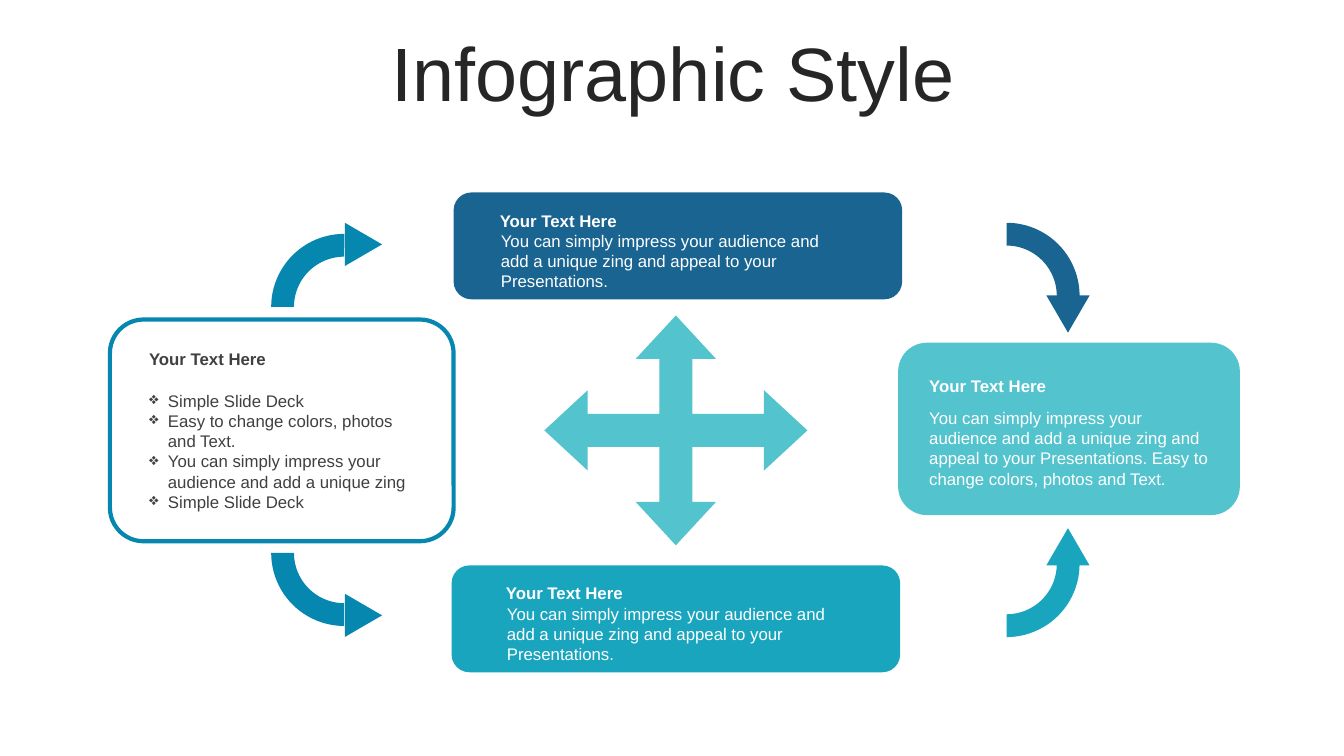
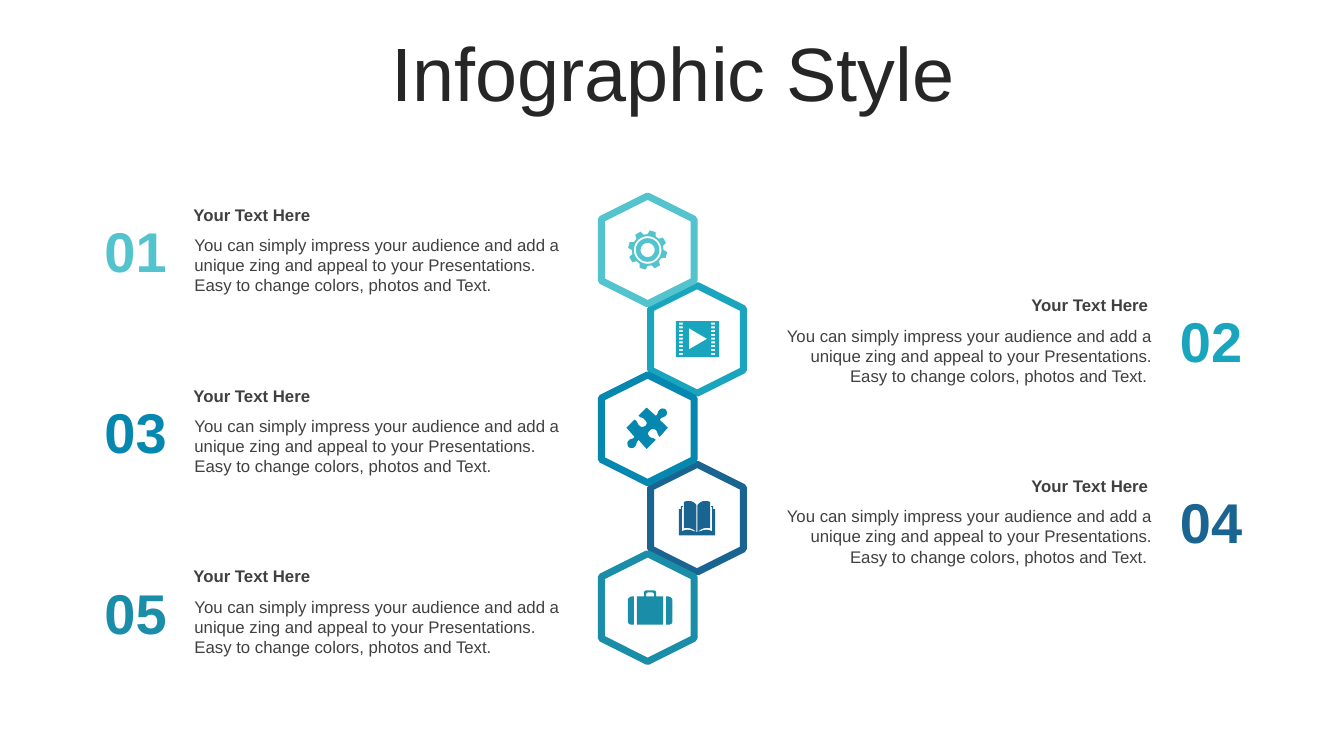
"""Build two infographic slides: a four-card cycle and a five-step hexagon chain."""
import math

import pptx
import pptx.dml.color
import pptx.enum.shapes
import pptx.enum.text
import pptx.oxml.ns
import pptx.util
from lxml import etree

CELL = pptx.util.Inches(0.1)
COLUMNS, ROWS = 133.33, 75
COLORS = {
    "title": "262626", "text": "404040", "white": "FFFFFF", "aqua": "53C3CD",
    "teal": "19A5BE", "blue": "0587AF", "navy": "196491", "sea": "1A8EA9",
}
TITLE = {"size": pptx.util.Pt(54), "name": "Arial", "bold": False}
NUMBER = {"size": pptx.util.Pt(40), "name": "Arial", "bold": True}
HEADING = {"size": pptx.util.Pt(12), "name": "Arial", "bold": True}
BODY = {"size": pptx.util.Pt(12), "name": "Arial", "bold": False}
TITLE_SPACING = {"line_spacing": 0.9, "space_before": pptx.util.Pt(10)}

ALIGN = pptx.enum.text.PP_ALIGN
ANCHOR = pptx.enum.text.MSO_ANCHOR
SHAPE = pptx.enum.shapes.MSO_SHAPE

HEADING_TEXT = "Your Text Here"
IMPRESS = "You can simply impress your audience and add a unique zing"
APPEAL = IMPRESS + " and appeal to your Presentations."
EASY = "Easy to change colors, photos and Text."
FULL = APPEAL + " " + EASY
FEATURES = ["Simple Slide Deck", EASY, IMPRESS, "Simple Slide Deck"]


def rgb(color):
    """Return the palette colour of that name."""
    return pptx.dml.color.RGBColor.from_string(COLORS[color])


def grid(*cells):
    """Turn grid cells into lengths."""
    return [round(cell * CELL) for cell in cells]


def apply(target, values):
    """Set every attribute in a dict of format values."""
    for attribute, value in values.items():
        setattr(target, attribute, value)


def paint(shape, fill=None, line=None, width=0):
    """Give a shape its fill and line and take away its shadow."""
    shape.shadow.inherit = False
    if fill:
        shape.fill.solid()
        shape.fill.fore_color.rgb = rgb(fill)
    else:
        shape.fill.background()
    if line:
        shape.line.color.rgb = rgb(line)
        shape.line.width = pptx.util.Pt(width)
    else:
        shape.line.fill.background()


def add_preset(slide, kind, cells, rotation=0, adjust=(), **colors):
    """Add a preset shape on the grid."""
    shape = slide.shapes.add_shape(kind, *grid(*cells))
    shape.rotation = rotation
    for index, value in enumerate(adjust):
        shape.adjustments[index] = value
    paint(shape, **colors)


def add_bullet(paragraph):
    """Give a paragraph a hanging diamond bullet."""
    properties = paragraph._p.get_or_add_pPr()
    properties.set("marL", "171450")
    properties.set("indent", "-171450")
    bullet = etree.SubElement(properties, pptx.oxml.ns.qn("a:buChar"))
    bullet.set("char", "❖")


def add_text(slide, cells, lines, font, color, align=ALIGN.LEFT,
             anchor=ANCHOR.TOP, spacing=None, bulleted=False, grow=True):
    """Add a text box with one paragraph for each line."""
    frame = slide.shapes.add_textbox(*grid(*cells)).text_frame
    sizing = pptx.enum.text.MSO_AUTO_SIZE
    apply(frame, {
        "word_wrap": True, "vertical_anchor": anchor,
        "auto_size": sizing.SHAPE_TO_FIT_TEXT if grow else sizing.NONE,
    })
    for index, line in enumerate(lines):
        paragraph = frame.add_paragraph() if index else frame.paragraphs[0]
        apply(paragraph, {"alignment": align, **(spacing or {})})
        if bulleted:
            add_bullet(paragraph)
        run = paragraph.add_run()
        run.text = line
        apply(run.font, font)
        run.font.color.rgb = rgb(color)


def add_titled_slide(deck):
    """Add a blank slide with the shared title."""
    slide = deck.slides.add_slide(deck.slide_layouts[6])
    add_text(slide, (3.5, 3.7, 126.6, 7.9), ["Infographic Style"], TITLE, "title",
             ALIGN.CENTER, ANCHOR.MIDDLE, TITLE_SPACING, grow=False)
    return slide


def add_turn(slide, arc, head, quarter, head_rotation, color):
    """Add a quarter-circle arrow made of an arc and its head."""
    add_preset(slide, SHAPE.BLOCK_ARC, (*arc, 14.5, 14.5), 90 * quarter,
               (108, 162, 0.156), fill=color)
    add_preset(slide, SHAPE.ISOSCELES_TRIANGLE, (*head, 4.3, 3.7), head_rotation,
               fill=color)


def flatten(contour):
    """Replace each six-number curve of a contour by short straight steps."""
    points = []
    for segment in contour:
        if len(segment) == 2:
            points.append(segment)
            continue
        knots = [points[-1], segment[:2], segment[2:4], segment[4:]]
        for step in range(1, 9):
            t = step / 8
            weights = ((1 - t) ** 3, 3 * t * (1 - t) ** 2, 3 * t * t * (1 - t), t ** 3)
            points.append(tuple(sum(weight * knot[axis] for weight, knot in zip(weights, knots))
                                for axis in (0, 1)))
    return points


def add_icon(slide, contours, middle, center, color):
    """Draw contours, in tenths of a cell, with their middle at a grid point."""
    builder = None
    for contour in contours:
        points = [grid(center[0] + (x - middle[0]) / 10, center[1] + (y - middle[1]) / 10)
                  for x, y in flatten(contour)]
        if builder is None:
            builder = slide.shapes.build_freeform(*points[0], scale=1.0)
        else:
            builder.move_to(*points[0])
        builder.add_line_segments(points[1:], close=True)
    paint(builder.convert_to_shape(), fill=color)


def mirror(contour, width):
    """Flip a contour from left to right inside a width."""
    return [tuple(width - value if index % 2 == 0 else value
                  for index, value in enumerate(segment)) for segment in contour]


def box(left, top, width, height):
    """Return the corners of a rectangle."""
    right, bottom = left + width, top + height
    return [(left, top), (right, top), (right, bottom), (left, bottom)]


def polar(radius, degrees):
    """Return the point at a clockwise angle from the top."""
    angle = math.radians(degrees)
    return radius * math.sin(angle), -radius * math.cos(angle)


def gear():
    """Return a gear with eight teeth and a ring."""
    tooth = ((15.7, -15), (19.5, -9), (19.5, 9), (15.7, 15))
    rim = [polar(radius, 15 + 45 * index + turn)
           for index in range(8) for radius, turn in tooth]
    rings = [[polar(radius, 10 * step) for step in range(36)] for radius in (13.7, 11.7, 7)]
    return [rim, *rings]


def film():
    """Return a film frame with perforations and a play sign."""
    holes = [box(left, 1.3 + 3.75 * row, 4, 2) for left in (3, 35) for row in range(9)]
    return [box(0, 0, 43, 35.5), [(13, 7), (13, 28), (31, 17.5)], *holes]


def puzzle():
    """Return a jigsaw piece standing on its corner."""
    return [[
        (39, 2), (40, 3, 41, 6, 39, 8), (37, 10, 35, 9, 33, 12), (41, 20), (33, 29),
        (30, 26, 31, 24, 29, 22), (27, 21, 24, 21, 23, 23), (21, 24, 21, 27, 23, 29),
        (26, 31, 26, 29, 29, 32), (20, 41), (12, 32), (9, 35, 11, 36, 8, 39),
        (6, 41, 3, 40, 2, 39), (1, 37, 0, 35, 2, 33), (4, 30, 6, 32, 8, 29), (0, 20),
        (8, 12), (12, 14, 10, 16, 13, 18), (15, 20, 17, 19, 19, 18),
        (20, 17, 21, 14, 18, 12), (16, 9, 15, 11, 12, 8), (20, 0), (29, 8),
        (32, 6, 30, 5, 33, 2), (35, 0, 38, 1, 39, 2),
    ]]


def book():
    """Return an open book with two mirrored halves."""
    page = [(17.5, 31), (14, 27, 9, 26, 5, 27), (5, 1), (7, 0, 8, 0, 10, 0),
            (13, 0, 15, 1, 17.5, 4)]
    cover = [(18, 34), (0, 34), (0, 8), (2, 8), (2, 5), (4, 5), (4, 6), (3, 6), (3, 30),
             (9, 27, 12, 29, 18, 31)]
    return [page, cover, mirror(page, 36), mirror(cover, 36)]


def suitcase():
    """Return a suitcase with a handle and two end pieces."""
    end = [(6, 6), (4, 6), (2, 6, 0, 8, 0, 9), (0, 31), (0, 33, 2, 34, 4, 34), (6, 34)]
    case = [(18, 0), (26, 0), (27, 0, 28, 1, 28, 2), (28, 6), (35, 6), (35, 34), (9, 34),
            (9, 6), (16, 6), (16, 2), (16, 1, 17, 0, 18, 0)]
    grip = [(18, 4), (18, 6), (26, 6), (26, 4), (26, 3, 25, 2, 24, 2), (20, 2),
            (19, 2, 18, 3, 18, 4)]
    return [end, case, grip, mirror(end, 44)]


def build_cycle(deck):
    """Build the slide with four cards around a crossed arrow."""
    slide = add_titled_slide(deck)
    middle = {"anchor": ANCHOR.MIDDLE}
    add_preset(slide, SHAPE.ROUNDED_RECTANGLE, (10.9, 31.7, 34.1, 22), adjust=(0.152,),
               line="blue", width=3)
    add_text(slide, (13.8, 38.2, 28.5, 13.1), FEATURES, BODY, "text", bulleted=True, **middle)
    add_text(slide, (13.8, 34.1, 28.5, 3), [HEADING_TEXT], HEADING, "text", **middle)
    add_preset(slide, SHAPE.QUAD_ARROW, (54, 31.3, 26.1, 22.8),
               adjust=(0.143, 0.175, 0.189), fill="aqua")
    cards = [
        ("aqua", (89.1, 34, 33.9, 17.1), (91.2, 36.8, 30.1, 3), (91.2, 39.9, 30.3, 9.1), FULL),
        ("navy", (45, 19.1, 44.5, 10.6), (48.6, 20.4, 36.9, 3), (48.7, 23.4, 36.8, 5), APPEAL),
        ("teal", (44.8, 56.1, 44.5, 10.6), (49.2, 57.3, 36.9, 3), (49.3, 60.4, 36.8, 5), APPEAL),
    ]
    for color, card, heading, body, words in cards:
        add_preset(slide, SHAPE.ROUNDED_RECTANGLE, card, fill=color)
        add_text(slide, heading, [HEADING_TEXT], HEADING, "white", **middle)
        add_text(slide, body, [words], BODY, "white", **middle)
    add_turn(slide, (26.9, 23.2), (33.9, 22.4), 0, 90, "blue")
    add_turn(slide, (92.6, 22.1), (103.8, 29.3), 1, 180, "navy")
    add_turn(slide, (92.6, 48.7), (103.8, 52.4), 2, 0, "teal")
    add_turn(slide, (26.9, 47.6), (33.9, 59.2), 3, 90, "blue")


def add_step(slide, index, color):
    """Add the number, heading and text of one step on its side."""
    top = 21 + 8.97 * index
    if index % 2:
        number, heading, body = 116, (75.6, 39.3), (75.7, 39.6)
        align, words = ALIGN.RIGHT, FULL + " "
    else:
        number, heading, body = 9.3, (18.2, 39.4), (18.3, 39.8)
        align, words = ALIGN.LEFT, FULL
    add_text(slide, (number, top, 8.3, 7.7), [f"{index + 1:02}"], NUMBER, color, ALIGN.CENTER)
    add_text(slide, (heading[0], top - 1.2, heading[1], 3), [HEADING_TEXT], HEADING, "text", align)
    add_text(slide, (body[0], top + 1.8, body[1], 7.1), [words], BODY, "text", align)


def build_chain(deck):
    """Build the slide with five linked hexagons and their steps."""
    slide = add_titled_slide(deck)
    steps = [
        ("aqua", gear(), (0, 0)), ("teal", film(), (21, 18)), ("blue", puzzle(), (21, 21)),
        ("navy", book(), (18, 17)), ("sea", suitcase(), (19.5, 17)),
    ]
    centers = [(69.15 if index % 2 else 64.25, 24.8 + 8.87 * index)
               for index in range(len(steps))]
    for index in (3, 1, 2, 0, 4):
        x, y = centers[index]
        add_preset(slide, SHAPE.HEXAGON, (x - 5.35, y - 4.6, 10.7, 9.2), 90,
                   fill="white", line=steps[index][0], width=5)
    for index, (color, contours, middle) in enumerate(steps):
        add_step(slide, index, color)
        add_icon(slide, contours, middle, centers[index], color)


def main():
    """Build and save the deck."""
    deck = pptx.Presentation()
    deck.slide_width, deck.slide_height = grid(COLUMNS, ROWS)
    build_cycle(deck)
    build_chain(deck)
    deck.save("out.pptx")


if __name__ == "__main__":
    main()
